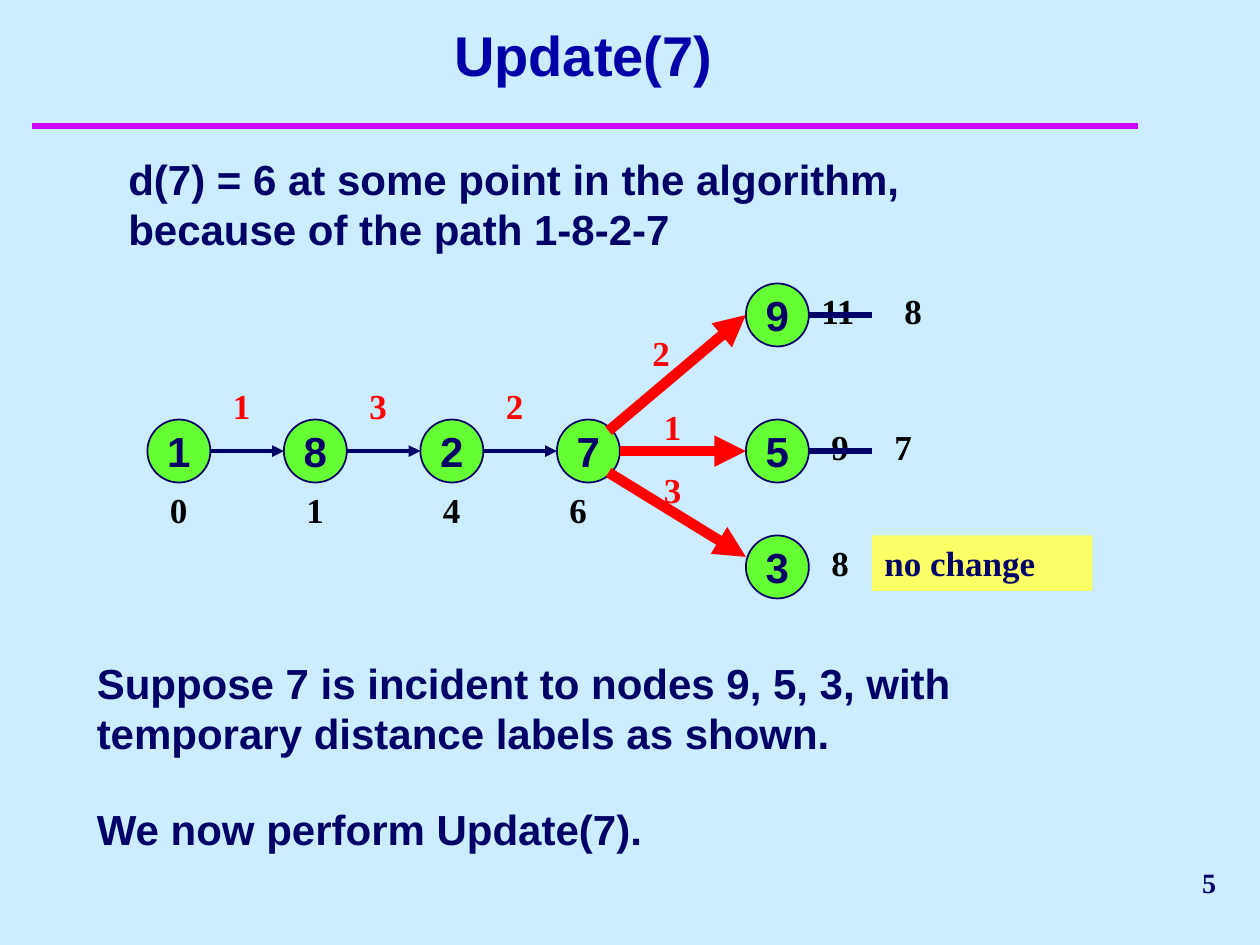
import pptx
import pptx.dml.color
import pptx.enum.shapes
import pptx.enum.text
import pptx.oxml
import pptx.oxml.ns
import pptx.util
from pptx.util import Inches

COLORS = {
    "background": "CCECFF", "rule": "CC00FF", "title": "0000A8",
    "navy": "000066", "node": "66FF33", "red": "FF0000",
    "black": "000000", "note": "FFFF66",
}
SANS, SERIF = "Arial", "Times New Roman"
ALIGN = pptx.enum.text.PP_ALIGN
ANCHOR = pptx.enum.text.MSO_ANCHOR
NODE_SIZE = 0.5
CHAIN_LEFT, CHAIN_TOP, CHAIN_STEP = 1.17, 3.33, 13 / 12
NEIGHBOR_LEFT = 5.92
CHAIN_AXIS = CHAIN_TOP + NODE_SIZE / 2


def rgb(name):
    return pptx.dml.color.RGBColor.from_string(COLORS[name])


def write(frame, text, size, font, color, align=ALIGN.LEFT, anchor=ANCHOR.TOP):
    frame.text = text
    frame.vertical_anchor = anchor
    paragraph = frame.paragraphs[0]
    paragraph.alignment = align
    for run in paragraph.runs:
        run.font.size = pptx.util.Pt(size)
        run.font.name = font
        run.font.bold = True
        run.font.color.rgb = rgb(color)


def add_text(slide, text, left, top, width, height, size, font, color, **layout):
    box = slide.shapes.add_textbox(*map(Inches, (left, top, width, height)))
    box.text_frame.word_wrap = True
    write(box.text_frame, text, size, font, color, **layout)
    return box


def add_statement(slide, text, left, top, width, height):
    return add_text(slide, text, left, top, width, height, 24, SANS, "navy")


def add_label(slide, text, left, top, color="black", width=0.58):
    return add_text(slide, text, left, top, width, 0.44, 20, SERIF, color)


def add_node(slide, text, left, top):
    node = slide.shapes.add_shape(
        pptx.enum.shapes.MSO_SHAPE.OVAL,
        *map(Inches, (left, top, NODE_SIZE, NODE_SIZE)))
    node.shadow.inherit = False
    node.fill.solid()
    node.fill.fore_color.rgb = rgb("node")
    node.line.color.rgb = rgb("navy")
    node.line.width = pptx.util.Pt(1)
    node.text_frame.word_wrap = False
    write(node.text_frame, text, 24, SANS, "navy", ALIGN.CENTER, ANCHOR.MIDDLE)


def add_line(slide, start, end, color, width, arrow=False):
    line = slide.shapes.add_connector(
        pptx.enum.shapes.MSO_CONNECTOR.STRAIGHT, *map(Inches, start + end))
    line.line.color.rgb = rgb(color)
    line.line.width = pptx.util.Pt(width)
    if arrow:
        head = pptx.oxml.parse_xml(
            f'<a:tailEnd {pptx.oxml.ns.nsdecls("a")} type="triangle"/>')
        line.line._get_or_add_ln().append(head)
    no_effects = pptx.oxml.parse_xml(
        f'<a:effectLst {pptx.oxml.ns.nsdecls("a")}/>')
    line._element.spPr.append(no_effects)


def add_title(slide, text):
    title = slide.shapes.title
    title.left, title.top, title.width, title.height = map(
        Inches, (0.42, 0, 8.42, 0.75))
    title.text_frame.auto_size = pptx.enum.text.MSO_AUTO_SIZE.NONE
    write(title.text_frame, text, 32, SANS, "title", ALIGN.CENTER, ANCHOR.BOTTOM)


def add_path(slide):
    # Nodes of the path with their distances: the last label sits further left
    stops = [("1", "0", 0.08), ("8", "1", 0.08), ("2", "4", 0.08), ("7", "6", 0)]
    lefts = [CHAIN_LEFT + i * CHAIN_STEP for i in range(len(stops))]
    for left, (node, distance, offset) in zip(lefts, stops):
        add_node(slide, node, left, CHAIN_TOP)
        add_label(slide, distance, left + offset, CHAIN_TOP + NODE_SIZE)

    # Edges between consecutive nodes
    for left, following, weight in zip(lefts, lefts[1:], ("1", "3", "2")):
        right = left + NODE_SIZE
        add_line(slide, (right, CHAIN_AXIS), (following, CHAIN_AXIS),
                 "navy", 2.25, arrow=True)
        add_label(slide, weight, right + 0.08, 3, "red", 0.42)


def add_neighbors(slide):
    # Node, top, old label and its left, new label and its left
    neighbors = [
        ("9", 2.25, "11", 6.42, "8", 7.08),
        ("5", CHAIN_TOP, "9", 6.5, "7", 7),
        ("3", 4.25, "8", 6.5, None, None),
    ]
    right = NEIGHBOR_LEFT + NODE_SIZE
    for node, top, old, old_left, new, new_left in neighbors:
        add_node(slide, node, NEIGHBOR_LEFT, top)
        add_label(slide, old, old_left, top)
        if new:
            axis = top + NODE_SIZE / 2
            add_line(slide, (right + 0.5, axis), (right, axis), "navy", 3)
            add_label(slide, new, new_left, top, width=0.5)

    note = add_label(slide, "no change", 6.92, 4.25, "navy", 1.75)
    note.fill.solid()
    note.fill.fore_color.rgb = rgb("note")

    # Edges scanned by the update: weight, its place, start and tip height
    scanned = [
        ("2", 5.08, 2.58, (4.83, 3.42), 2.5),
        ("1", 5.17, 3.17, (4.92, CHAIN_AXIS), CHAIN_AXIS),
        ("3", 5.17, 3.67, (4.83, 3.75), 4.42),
    ]
    for weight, left, top, start, tip in scanned:
        add_label(slide, weight, left, top, "red", 0.42)
        add_line(slide, start, (NEIGHBOR_LEFT, tip), "red", 6, arrow=True)


def main():
    deck = pptx.Presentation()
    deck.slide_width, deck.slide_height = Inches(10), Inches(7.5)
    slide = deck.slides.add_slide(deck.slide_layouts[5])
    slide.background.fill.solid()
    slide.background.fill.fore_color.rgb = rgb("background")

    # Heading and page number
    add_line(slide, (0.25, 1), (9.03, 1), "rule", 4)
    add_title(slide, "Update(7)")
    add_text(slide, "5", 7.83, 6.75, 1.92, 0.5, 16, SERIF, "navy",
             align=ALIGN.RIGHT, anchor=ANCHOR.MIDDLE)

    # Graph
    add_path(slide)
    add_neighbors(slide)

    # Explanation
    add_statement(slide, "d(7) = 6 at some point in the algorithm, "
                  "because of the path 1-8-2-7", 0.92, 1.17, 6.33, 0.9)
    add_statement(slide, "Suppose 7 is incident to nodes 9, 5, 3, with "
                  "temporary distance labels as shown.", 0.67, 5.17, 7.17, 0.9)
    add_statement(slide, "We now perform Update(7).", 0.67, 6.33, 5.75, 0.5)

    deck.save("out.pptx")


if __name__ == "__main__":
    main()
